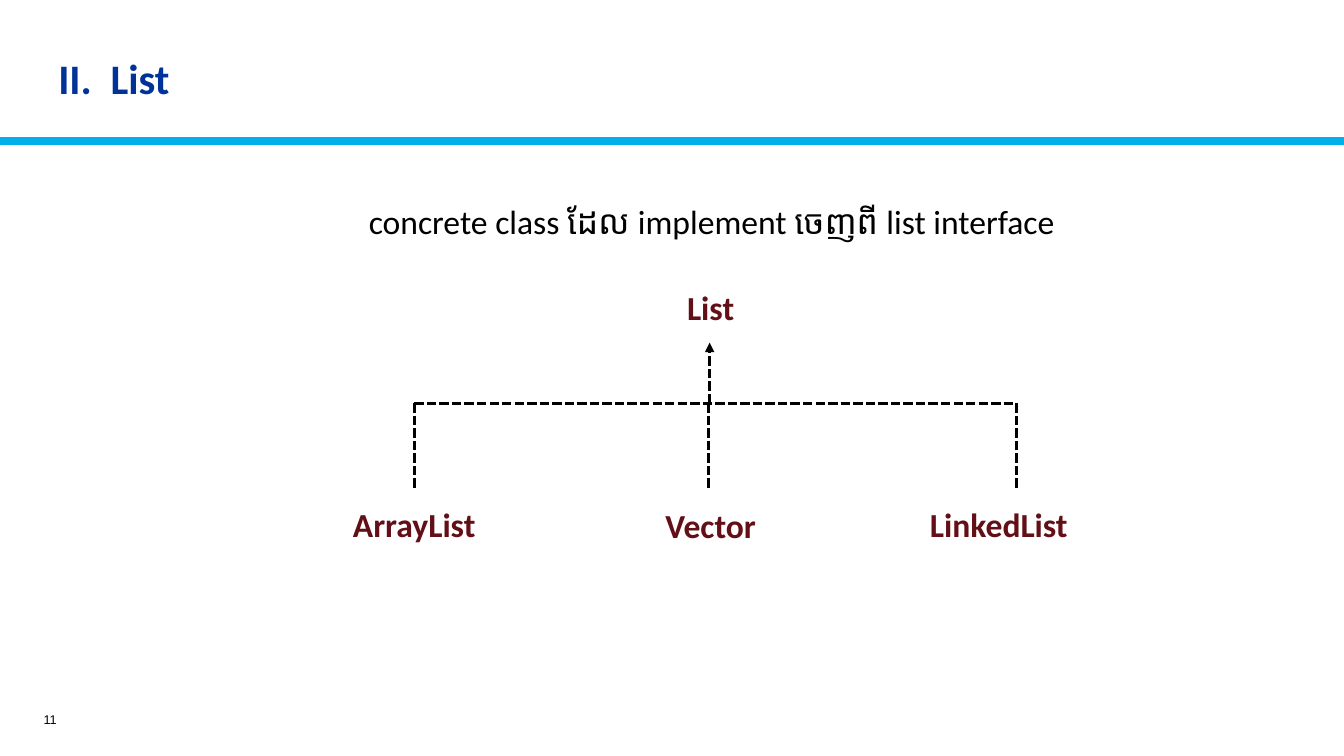
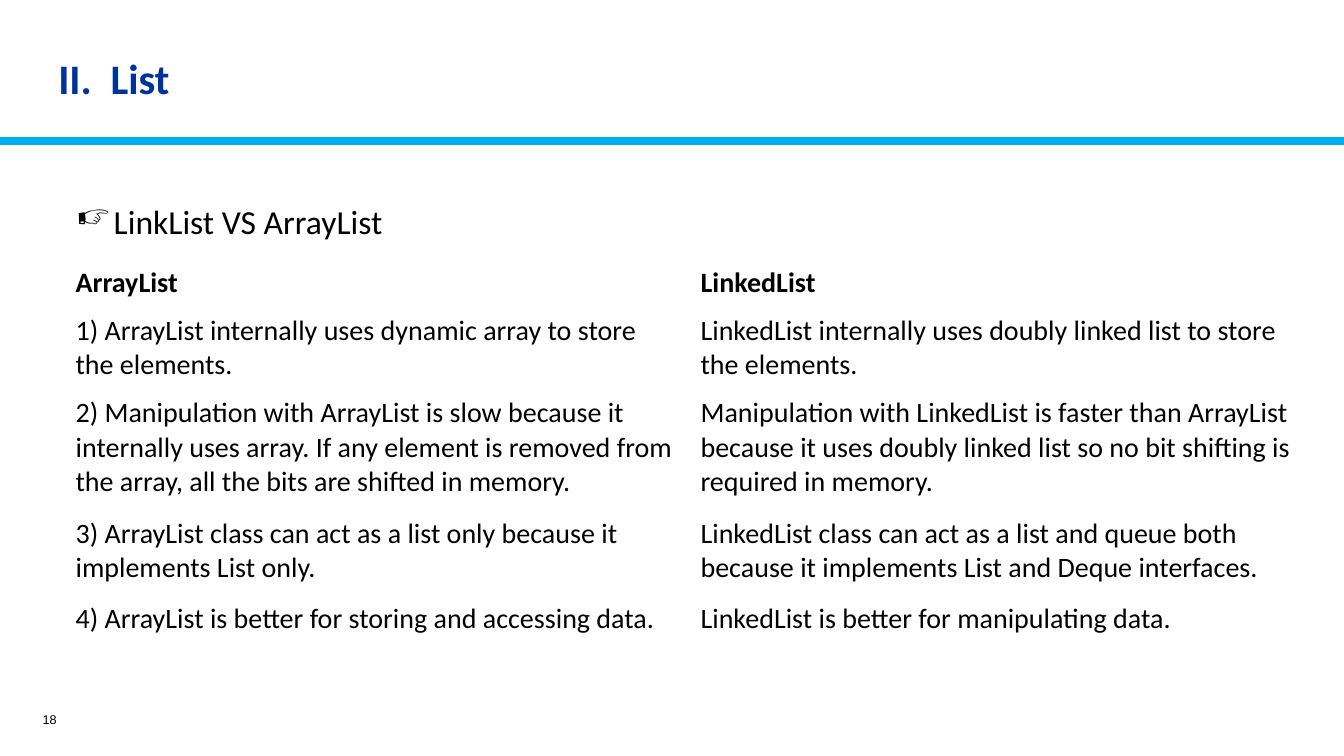
"""Builds two slides on the List interface and its concrete classes."""
from dataclasses import dataclass

from lxml import etree
from pptx import Presentation
from pptx import util as u
from pptx.dml.color import RGBColor
from pptx.enum import dml, shapes, text
from pptx.oxml import ns

CELL = 0.1
COLUMNS, ROWS = 133.33, 75
SKY, NAVY, MAROON, BLACK, WHITE = "00B0EA", "003399", "630F17", "000000", "FFFFFF"
LEFT, CENTER, RIGHT = text.PP_ALIGN.LEFT, text.PP_ALIGN.CENTER, text.PP_ALIGN.RIGHT
TOP, MIDDLE = text.MSO_ANCHOR.TOP, text.MSO_ANCHOR.MIDDLE
TITLE = "II.\tList"
TRUNK, FORK_ROW, LABEL_ROW = 70.4, 40, 48.5


@dataclass(frozen=True)
class Area:
    """Columns and rows of the slide grid that a part covers."""
    column: float
    row: float
    columns: float
    rows: float

    def lengths(self) -> list:
        """Return left, top, width and height."""
        return [span(n) for n in (self.column, self.row, self.columns, self.rows)]


@dataclass(frozen=True)
class ClassLabel:
    """A class name in the hierarchy and where its box and stem stand."""
    name: str
    column: float
    row: float
    stem: float


IMPLEMENTATIONS = [
    ClassLabel("ArrayList", 28.1, LABEL_ROW, 41.1),
    ClassLabel("Vector", 57.5, LABEL_ROW + 0.1, 70.3),
    ClassLabel("LinkedList", 86.1, LABEL_ROW, 100.8),
]
INTERFACE = ClassLabel("List", 57.5, 27, TRUNK)

COMPARISON_COLUMNS = (62, 61.7)
COMPARISON_ROWS = (5, 7.8, 12, 8.5, 5)
COMPARISON = [
    ("ArrayList", "LinkedList"),
    ("1) ArrayList internally uses dynamic array to store the elements.",
     "LinkedList internally uses doubly linked list to store the elements."),
    ("2) Manipulation with ArrayList is slow because it internally uses array. "
     "If any element is removed from the array, all the bits are shifted in memory.",
     "Manipulation with LinkedList is faster than ArrayList because it uses "
     "doubly linked list so no bit shifting is required in memory."),
    ("3) ArrayList class can act as a list only because it implements List only.",
     "LinkedList class can act as a list and queue both because it implements "
     "List and Deque interfaces."),
    ("4) ArrayList is better for storing and accessing data.",
     "LinkedList is better for manipulating data."),
]


def span(count: float) -> u.Length:
    """Turn a number of grid cells into a length."""
    return u.Inches(count * CELL)


def rgb(code: str) -> RGBColor:
    """Turn a hex string into a colour."""
    return RGBColor.from_string(code)


def write(frame, words: str, *, size: float = 24, color: str = BLACK, bold: bool = False,
          font: str = "Calibri", align=LEFT, spacing: float = 1.0,
          bullet: str = "", tab: float = 0):
    """Write one formatted paragraph into a text frame."""
    paragraph = frame.paragraphs[0]
    paragraph.text = words
    paragraph.alignment = align
    paragraph.line_spacing = spacing
    properties = paragraph._p.get_or_add_pPr()
    if bullet:
        properties.set("marL", str(span(tab)))
        properties.set("indent", str(-span(tab)))
        etree.SubElement(properties, ns.qn("a:buChar"), char=bullet)
    elif tab:
        stops = etree.SubElement(properties, ns.qn("a:tabLst"))
        etree.SubElement(stops, ns.qn("a:tab"), pos=str(span(tab)), algn="l")
    for run in paragraph.runs:
        run.font.name, run.font.size, run.font.bold = font, u.Pt(size), bold
        run.font.color.rgb = rgb(color)


def add_text(slide, area: Area, words: str, *, anchor=TOP, fill: str = "", **style):
    """Place text on the slide, on a filled rectangle if a fill is given."""
    if fill:
        holder = slide.shapes.add_shape(shapes.MSO_SHAPE.RECTANGLE, *area.lengths())
        holder.shadow.inherit = False
        holder.fill.solid()
        holder.fill.fore_color.rgb = rgb(fill)
        holder.line.fill.background()
    else:
        holder = slide.shapes.add_textbox(*area.lengths())
    holder.text_frame.word_wrap = True
    holder.text_frame.vertical_anchor = anchor
    write(holder.text_frame, words, **style)


def add_line(slide, start: tuple[float, float], end: tuple[float, float], *,
             color: str = BLACK, width: float = 2.25, dashed: bool = True,
             arrow: bool = False):
    """Draw a straight line between two grid points."""
    line = slide.shapes.add_connector(shapes.MSO_CONNECTOR.STRAIGHT,
                                      *(span(n) for n in start + end))
    line.line.color.rgb = rgb(color)
    line.line.width = u.Pt(width)
    if dashed:
        line.line.dash_style = dml.MSO_LINE.SQUARE_DOT
    if arrow:
        etree.SubElement(line.line._get_or_add_ln(), ns.qn("a:tailEnd"), type="triangle")
    etree.SubElement(line._element.spPr, ns.qn("a:effectLst"))


def add_class(slide, label: ClassLabel):
    """Place a class name of the hierarchy."""
    add_text(slide, Area(label.column, label.row, 26, 7), label.name,
             anchor=MIDDLE, fill=WHITE, color=MAROON, bold=True, align=CENTER)


def start_slide(deck, number: int):
    """Add a blank slide with the shared rule, title and page number."""
    slide = deck.slides.add_slide(deck.slide_layouts[6])
    add_line(slide, (0, 14), (COLUMNS, 14), color=SKY, width=6, dashed=False)
    add_text(slide, Area(0.9, 69.9, 5.7, 3), str(number), anchor=MIDDLE,
             size=9, font="Arial", align=RIGHT)
    add_text(slide, Area(4.8, 3.9, 90.2, 8.3), TITLE, anchor=MIDDLE,
             size=30, color=NAVY, bold=True, spacing=0.9, tab=5.2)
    return slide


def build_hierarchy(deck):
    """Build the slide that shows the classes below the List interface."""
    slide = start_slide(deck, 11)
    add_text(slide, Area(10.6, 19.4, 120, 5),
             "concrete class ដែល implement ចេញពី list interface", align=CENTER)
    for label in [INTERFACE, *IMPLEMENTATIONS]:
        add_class(slide, label)
    add_line(slide, (TRUNK, FORK_ROW), (TRUNK, 34), arrow=True)
    add_line(slide, (IMPLEMENTATIONS[0].stem, FORK_ROW), (IMPLEMENTATIONS[-1].stem, FORK_ROW))
    for label in IMPLEMENTATIONS:
        add_line(slide, (label.stem, FORK_ROW), (label.stem, LABEL_ROW))


def build_comparison(deck):
    """Build the slide that compares the two list classes in a table."""
    slide = start_slide(deck, 18)
    add_text(slide, Area(6.6, 19.4, 120.5, 5), "LinkList VS ArrayList", bullet="☞", tab=3.7)
    area = Area(6.5, 25.6, sum(COMPARISON_COLUMNS), sum(COMPARISON_ROWS))
    table = slide.shapes.add_table(len(COMPARISON_ROWS), len(COMPARISON_COLUMNS),
                                   *area.lengths()).table
    table.first_row = table.horz_banding = False
    for column, width in zip(table.columns, COMPARISON_COLUMNS):
        column.width = span(width)
    for row, height in zip(table.rows, COMPARISON_ROWS):
        row.height = span(height)
    for r, statements in enumerate(COMPARISON):
        for c, statement in enumerate(statements):
            cell = table.cell(r, c)
            cell.fill.background()
            cell.vertical_anchor = MIDDLE
            write(cell.text_frame, statement, size=20, bold=r == 0)


def main():
    """Build and save the deck."""
    deck = Presentation()
    deck.slide_width, deck.slide_height = span(COLUMNS), span(ROWS)
    build_hierarchy(deck)
    build_comparison(deck)
    deck.save("out.pptx")


if __name__ == "__main__":
    main()
